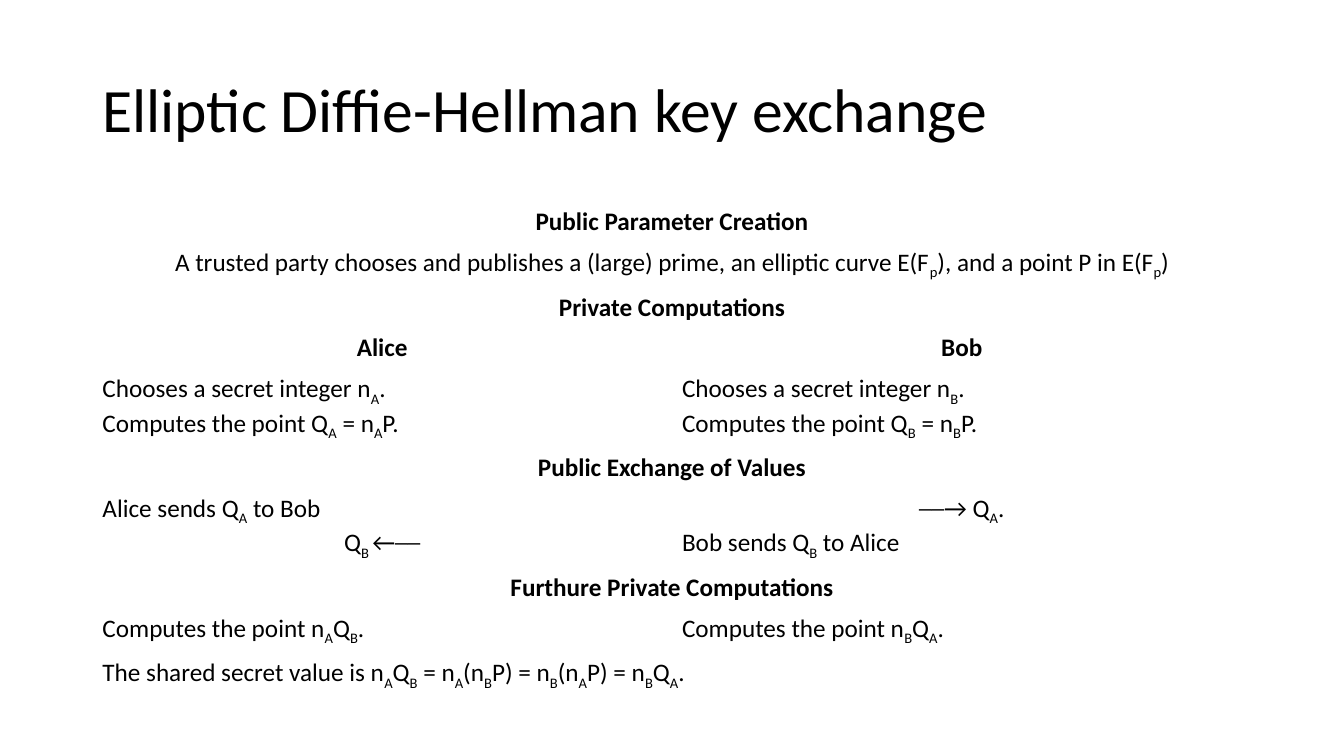
from pptx import Presentation
from pptx.dml.color import RGBColor
from pptx.enum.text import MSO_ANCHOR, PP_ALIGN

PX = 9525
BLACK = RGBColor(0, 0, 0)
WHITE = RGBColor(255, 255, 255)


def write(frame, text, size=18, bold=False, space=1.0):
    """Write lines: a leading ^ centres one, and |...| marks a subscript."""
    for i, line in enumerate(text.split("\n")):
        para = frame.add_paragraph() if i else frame.paragraphs[0]
        para.alignment = PP_ALIGN.CENTER if line.startswith("^") else PP_ALIGN.LEFT
        para.line_spacing = space
        for j, part in enumerate(line.lstrip("^").split("|")):
            run = para.add_run()
            run.text = part
            font = run.font
            font.name = "Calibri"
            font.size = size * 12700
            font.bold = bold
            font.color.rgb = BLACK
            if j % 2:
                font._element.set("baseline", "-25000")


deck = Presentation()
deck.slide_width = 1280 * PX
deck.slide_height = 720 * PX
slide = deck.slides.add_slide(deck.slide_layouts[6])

title = slide.shapes.add_textbox(88 * PX, 38 * PX, 1104 * PX, 139 * PX).text_frame
title.word_wrap = True
title.vertical_anchor = MSO_ANCHOR.MIDDLE
write(title, "Elliptic Diffie-Hellman key exchange", size=44, space=0.9)

# Each row: bold or not, then one text per column; a lone text spans both.
rows = [
    (True, "^Public Parameter Creation"),
    (False, "^A trusted party chooses and publishes a (large) prime, "
            "an elliptic curve E(F|p|), and a point P in E(F|p|)"),
    (True, "^Private Computations"),
    (True, "^Alice", "^Bob"),
    (False,
     "Chooses a secret integer n|A|.\nComputes the point Q|A| = n|A|P.",
     "Chooses a secret integer n|B|.\nComputes the point Q|B| = n|B|P."),
    (True, "^Public Exchange of Values"),
    (False,
     "Alice sends Q|A| to Bob\n^Q|B |←──",
     "^──→ Q|A|.\nBob sends Q|B| to Alice"),
    (True, "^Furthure Private Computations"),
    (False, "Computes the point n|A|Q|B|.", "Computes the point n|B|Q|A|."),
    (False, "The shared secret value is n|A|Q|B| = n|A|(n|B|P)"
            " = n|B|(n|A|P) = n|B|Q|A|."),
]
table = slide.shapes.add_table(
    len(rows), 2, 88 * PX, 192 * PX, 1104 * PX, 39 * len(rows) * PX).table
table.first_row = False
table.horz_banding = False

for r, (bold, *texts) in enumerate(rows):
    table.rows[r].height = 39 * PX
    for c in range(2):
        fill = table.cell(r, c).fill
        fill.solid()
        fill.fore_color.rgb = WHITE
    if len(texts) == 1:
        table.cell(r, 0).merge(table.cell(r, 1))
    for c, text in enumerate(texts):
        write(table.cell(r, c).text_frame, text, bold=bold)

deck.save("out.pptx")
